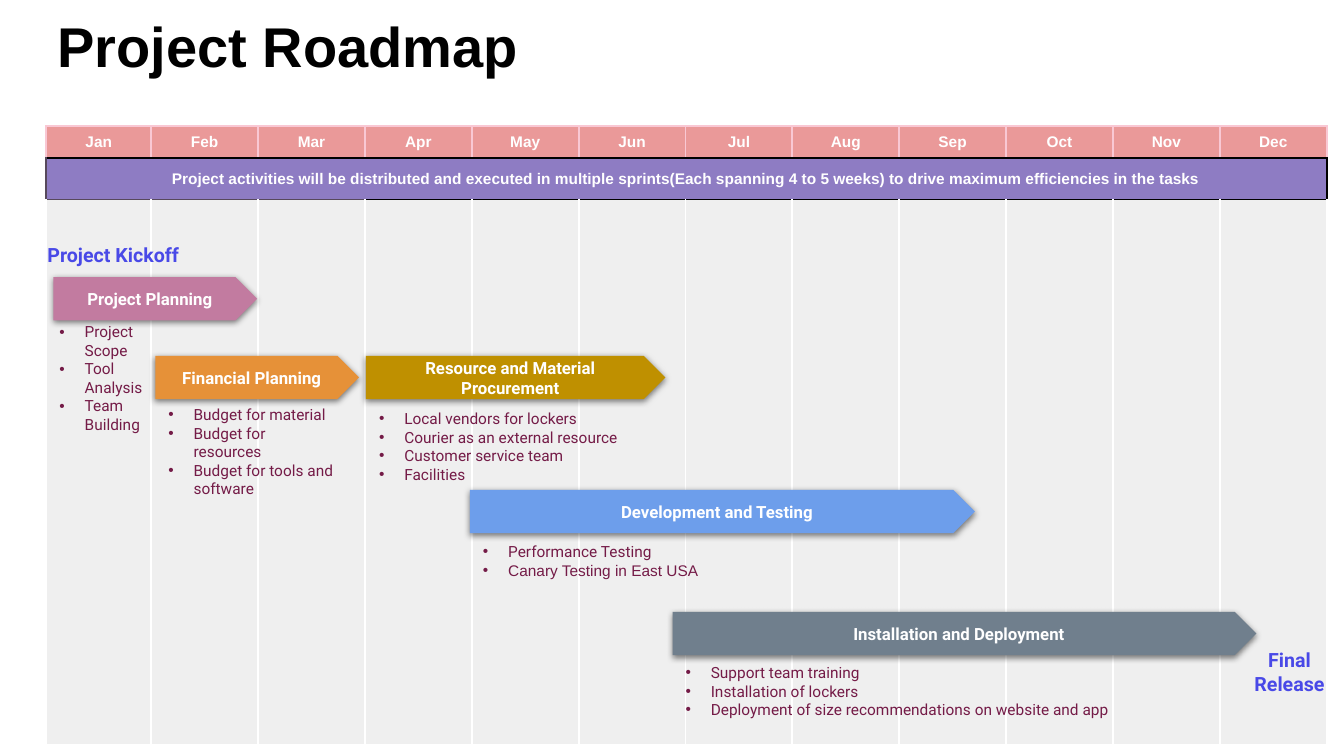
"""Builds the project roadmap slide: a month table with phase arrows and task lists."""
from lxml import etree
from pptx import Presentation
from pptx import util as u
from pptx.dml import color
from pptx.enum import shapes, text
from pptx.oxml import ns, parse_xml

COLORS = {
    "black": "000000", "white": "FFFFFF", "month": "EA9999", "month_edge": "F9C8D4",
    "banner": "8E7CC3", "banner_edge": "57495C", "grid": "EFEFEF", "list": "741B47",
    "milestone": "4949E7", "pink": "C27BA0", "orange": "E69138", "gold": "BF9000",
    "blue": "6D9EEB", "slate": "707F8D",
}
MONTHS = "Jan Feb Mar Apr May Jun Jul Aug Sep Oct Nov Dec".split()
BANNER = ("Project activities will be distributed and executed in multiple sprints"
          "(Each spanning 4 to 5 weeks) to drive maximum efficiencies in the tasks")
PHASES = [
    ("Project Planning", "pink", (0.53, 2.75, 2.02), (0.46, 3.13, 1.23, 1.25),
     ["Project Scope", "Tool Analysis", "Team Building"]),
    ("Financial Planning", "orange", (1.54, 3.53, 2.02), (1.54, 3.95, 1.91, 1.06),
     ["Budget for material", "Budget for resources", "Budget for tools and software"]),
    ("Resource and Material Procurement", "gold", (3.63, 3.53, 2.97), (3.63, 3.99, 2.69, 0.88),
     ["Local vendors for lockers", "Courier as an external resource",
      "Customer service team", "Facilities"]),
    ("Development and Testing", "blue", (4.66, 4.86, 5.01), (4.66, 5.31, 2.69, 0.5),
     ["Performance Testing", "Canary Testing in East USA"]),
    ("Installation and Deployment", "slate", (6.67, 6.07, 5.79), (6.67, 6.51, 4.56, 0.69),
     ["Support team training", "Installation of lockers",
      "Deployment of size recommendations on website and app"]),
]
ARIAL_TASKS = {"Canary Testing in East USA"}


class Roadmap:
    """Holds the roadmap's style and its page."""

    def __init__(self, deck):
        """Add a page whose body placeholders wait for the task lists."""
        self.page = deck.slides.add_slide(deck.slide_layouts[4])
        self.spare = [box for box in self.page.placeholders
                      if 1 <= box.placeholder_format.idx <= 4]
        for box in list(self.page.placeholders):
            if box.placeholder_format.idx > 4:
                box._element.getparent().remove(box._element)

    def place(self, box, left, top, width, height):
        """Move and size a box."""
        box.left, box.top = u.Inches(left), u.Inches(top)
        box.width, box.height = u.Inches(width), u.Inches(height)

    def frame(self, frame, anchor=text.MSO_ANCHOR.TOP):
        """Set the insets, wrapping and anchor of a text frame."""
        frame.margin_left = frame.margin_right = u.Inches(0.13)
        frame.margin_top = frame.margin_bottom = u.Inches(0.07)
        frame.word_wrap = True
        frame.auto_size = text.MSO_AUTO_SIZE.NONE
        frame.vertical_anchor = anchor

    def style(self, para, size, ink, name="Roboto", bold=True, align=text.PP_ALIGN.CENTER):
        """Set the font and alignment of a paragraph."""
        para.alignment = align
        font = para.font
        font.size, font.name, font.bold = u.Pt(size), name, bold
        font.color.rgb = color.RGBColor.from_string(COLORS[ink])

    def title(self, words):
        """Fill the title placeholder."""
        box = self.page.shapes.title
        self.place(box, 0.44, 0.43, 12.34, 0.43)
        self.frame(box.text_frame, text.MSO_ANCHOR.BOTTOM)
        box.text_frame.text = words
        para = box.text_frame.paragraphs[0]
        para.line_spacing = 0.9
        self.style(para, 40, "black", "Arial", align=text.PP_ALIGN.LEFT)

    def cell(self, cell, fill, edges, words=""):
        """Fill a table cell and draw its edges."""
        properties = cell._tc.get_or_add_tcPr()
        for side in "LRTB":
            if side in edges:
                properties.append(parse_xml(
                    f'<a:ln{side} {ns.nsdecls("a")} w="19050"><a:solidFill>'
                    f'<a:srgbClr val="{COLORS[edges[side]]}"/></a:solidFill></a:ln{side}>'))
        cell.fill.solid()
        cell.fill.fore_color.rgb = color.RGBColor.from_string(COLORS[fill])
        cell.margin_left = cell.margin_right = u.Inches(0.13)
        cell.margin_top = cell.margin_bottom = u.Inches(0.07)
        cell.vertical_anchor = text.MSO_ANCHOR.MIDDLE
        if words:
            cell.text = words
            self.style(cell.text_frame.paragraphs[0], 11, "white", "Arial")

    def calendar(self):
        """Add the table of months with the banner below them."""
        table = self.page.shapes.add_table(
            3, len(MONTHS), u.Inches(0.46), u.Inches(1.25),
            u.Inches(12.7), u.Inches(6.14)).table
        table.first_row = table.horz_banding = False
        for row, height in zip(table.rows, (0.32, 0.41, 5.41)):
            row.height = u.Inches(height)
        table.cell(1, 0).merge(table.cell(1, len(MONTHS) - 1))
        for index, month in enumerate(MONTHS):
            table.columns[index].width = u.Inches(1.06 if index else 1.04)
            under = "banner_edge" if index < 3 else "black"
            self.cell(table.cell(0, index), "month",
                      {**dict.fromkeys("LRT", "month_edge"), "B": "black"}, month)
            self.cell(table.cell(1, index), "banner",
                      {"L": "banner_edge", "R": "black", "T": "black", "B": under},
                      "" if index else BANNER)
            self.cell(table.cell(2, index), "grid",
                      {**dict.fromkeys("LRB", "white"), "T": under})

    def arrow(self, words, fill, left, top, width):
        """Add a phase arrow with a soft shadow."""
        box = self.page.shapes.add_shape(
            shapes.MSO_SHAPE.PENTAGON, u.Inches(left), u.Inches(top),
            u.Inches(width), u.Inches(0.43))
        box.fill.solid()
        box.fill.fore_color.rgb = color.RGBColor.from_string(COLORS[fill])
        box.line.fill.background()
        box.shadow.inherit = False
        effects = box._element.spPr.find(ns.qn("a:effectLst"))
        effects.append(parse_xml(
            f'<a:outerShdw {ns.nsdecls("a")} blurRad="57150" dist="19050" dir="5400000" '
            f'algn="bl" rotWithShape="0"><a:srgbClr val="{COLORS["black"]}">'
            '<a:alpha val="50000"/></a:srgbClr></a:outerShdw>'))
        self.frame(box.text_frame, text.MSO_ANCHOR.MIDDLE)
        box.text_frame.text = words
        self.style(box.text_frame.paragraphs[0], 12, "white")

    def tasks(self, items, *place):
        """Add a bulleted list, in a body placeholder while one is left."""
        if self.spare:
            box = self.spare.pop(0)
            self.page.shapes._spTree.append(box._element)
        else:
            box = self.page.shapes.add_textbox(0, 0, 0, 0)
        self.place(box, *place)
        self.frame(box.text_frame)
        box.text_frame.text = "\n".join(items)
        for para, item in zip(box.text_frame.paragraphs, items):
            para.space_before = u.Pt(0)
            properties = para._p.get_or_add_pPr()
            properties.set("marL", str(u.Inches(0.25)))
            properties.set("indent", str(u.Inches(-0.26)))
            tint = etree.SubElement(properties, ns.qn("a:buClr"))
            etree.SubElement(tint, ns.qn("a:srgbClr"), val=COLORS["list"])
            etree.SubElement(properties, ns.qn("a:buFont"), typeface="Arial")
            etree.SubElement(properties, ns.qn("a:buChar"), char="•")
            self.style(para, 11, "list", "Arial" if item in ARIAL_TASKS else "Roboto",
                       bold=False, align=text.PP_ALIGN.LEFT)

    def milestone(self, words, align, *place):
        """Add a milestone label."""
        box = self.page.shapes.add_textbox(*map(u.Inches, place))
        self.frame(box.text_frame)
        box.text_frame.text = words
        self.style(box.text_frame.paragraphs[0], 14, "milestone", align=align)


def main():
    """Build and save the deck."""
    deck = Presentation()
    deck.slide_width, deck.slide_height = u.Inches(13.33), u.Inches(7.5)
    roadmap = Roadmap(deck)
    roadmap.title("Project Roadmap")
    roadmap.calendar()
    for name, fill, arrow, place, items in PHASES:
        roadmap.arrow(name, fill, *arrow)
        roadmap.tasks(items, *place)
    roadmap.milestone("Project Kickoff", text.PP_ALIGN.LEFT, 0.34, 2.34, 6.67, 0.37)
    roadmap.milestone("Final Release", text.PP_ALIGN.CENTER, 12.14, 6.36, 1.3, 0.61)
    deck.save("out.pptx")


if __name__ == "__main__":
    main()
